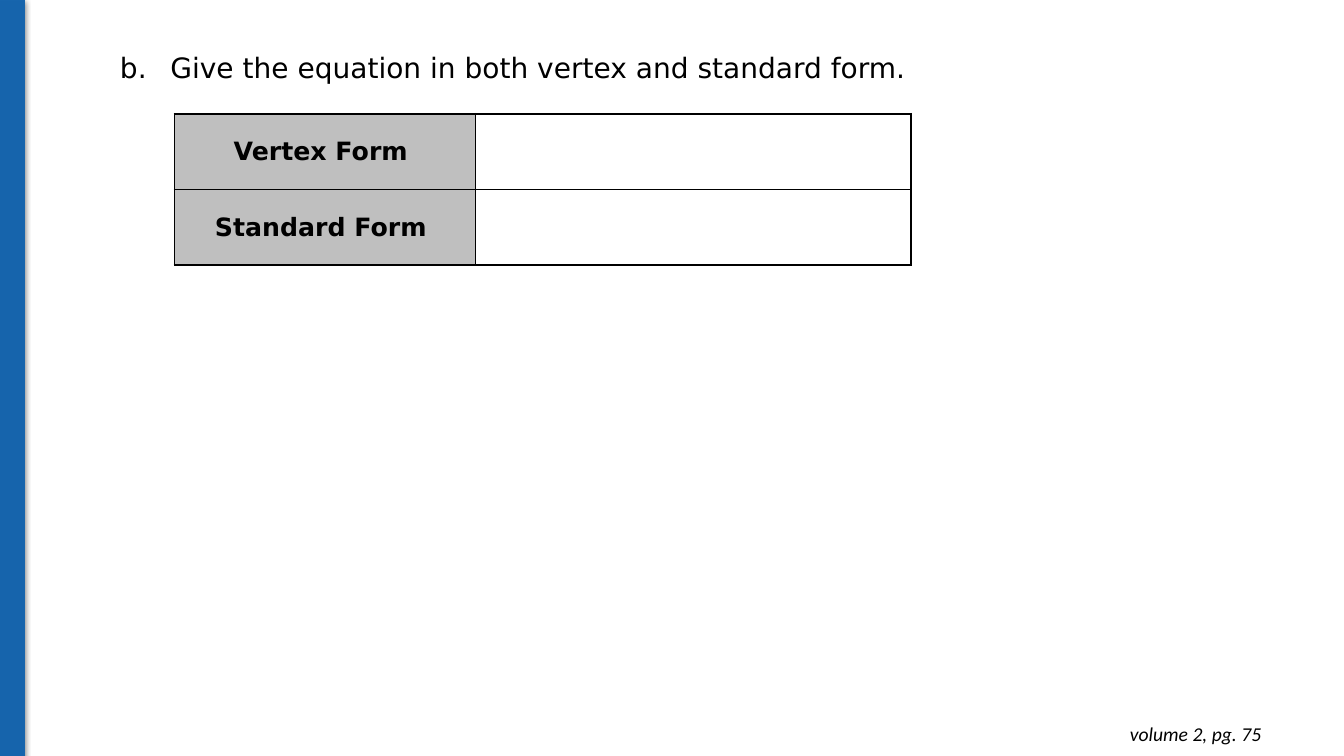
from typing import NamedTuple

from lxml.etree import SubElement
from pptx import Presentation
from pptx.dml.color import RGBColor
from pptx.enum.shapes import MSO_SHAPE
from pptx.enum.text import MSO_ANCHOR, MSO_AUTO_SIZE, PP_ALIGN
from pptx.oxml import parse_xml
from pptx.oxml.ns import nsdecls, qn
from pptx.slide import Slide
from pptx.table import _Cell
from pptx.text.text import Font
from pptx.util import Inches, Pt

BLACK, WHITE, GRAY = "000000", "FFFFFF", "BFBFBF"
BLUE, EDGE_BLUE = "1664AC", "1765AD"
OUTER_PT, INNER_PT = 1.5, 0.75


class AnswerRow(NamedTuple):
    label: str
    answer: str = ""


ANSWER_ROWS = [AnswerRow("Vertex Form "), AnswerRow("Standard Form ")]
COLUMN_WIDTHS = [2.99, 4.32]
ROW_HEIGHT = 0.75


def color(hex_code: str) -> RGBColor:
    return RGBColor.from_string(hex_code)


def style_font(font: Font, name: str, size: float, bold: bool = False, italic: bool = False) -> None:
    font.name = name
    font.size = Pt(size)
    font.bold = bold
    font.italic = italic
    font.color.rgb = color(BLACK)


def add_side_band(slide: Slide) -> None:
    band = slide.shapes.add_shape(MSO_SHAPE.RECTANGLE, 0, 0, Inches(0.24), Inches(7.51))
    band.fill.solid()
    band.fill.fore_color.rgb = color(BLUE)
    band.line.color.rgb = color(EDGE_BLUE)
    band.line.width = Pt(0.75)
    band.shadow.inherit = False
    effects = band._element.spPr.find(qn("a:effectLst"))
    effects.append(parse_xml(
        f'<a:outerShdw {nsdecls("a")} blurRad="{Pt(4.5)}" dist="{Pt(1.5)}" dir="5400000" '
        f'algn="t" rotWithShape="0"><a:srgbClr val="{BLACK}"><a:alpha val="50000"/>'
        '</a:srgbClr></a:outerShdw>'))


def add_question(slide: Slide) -> None:
    question = slide.shapes.title
    question.left, question.top = Inches(0.59), Inches(0.45)
    question.width, question.height = Inches(12.05), Inches(0.44)
    frame = question.text_frame
    frame.text = "Give the equation in both vertex and standard form."
    frame.word_wrap = True
    frame.auto_size = MSO_AUTO_SIZE.SHAPE_TO_FIT_TEXT
    frame.vertical_anchor = MSO_ANCHOR.TOP
    paragraph = frame.paragraphs[0]
    paragraph.alignment = PP_ALIGN.LEFT
    properties = paragraph._p.get_or_add_pPr()
    properties.set("marL", str(Inches(1)))
    properties.set("indent", str(Inches(-0.5)))
    SubElement(SubElement(properties, qn("a:buClr")), qn("a:srgbClr"), val=BLACK)
    SubElement(properties, qn("a:buFont"), typeface="+mj-lt")
    SubElement(properties, qn("a:buAutoNum"), type="alphaLcPeriod", startAt="2")
    style_font(paragraph.runs[0].font, "DejaVu Sans", 20)


def set_borders(cell: _Cell, widths: dict[str, float]) -> None:
    """Draw the cell's edges, with widths in points keyed L, R, T, B in that order."""
    properties = cell._tc.get_or_add_tcPr()
    for side, width in widths.items():
        edge = SubElement(properties, qn(f"a:ln{side}"), w=str(Pt(width)))
        SubElement(SubElement(edge, qn("a:solidFill")), qn("a:srgbClr"), val=BLACK)


def fill_cell(cell: _Cell, text: str, background: str) -> None:
    cell.fill.solid()
    cell.fill.fore_color.rgb = color(background)
    cell.vertical_anchor = MSO_ANCHOR.MIDDLE
    cell.margin_left = cell.margin_right = Inches(0.07)
    cell.margin_top = cell.margin_bottom = 0
    if text:
        cell.text_frame.text = text
        paragraph = cell.text_frame.paragraphs[0]
        paragraph.alignment = PP_ALIGN.CENTER
        paragraph.space_after = Pt(10)
        style_font(paragraph.runs[0].font, "DejaVu Sans", 18, bold=True)


def add_answer_table(slide: Slide) -> None:
    last_row, last_column = len(ANSWER_ROWS) - 1, len(COLUMN_WIDTHS) - 1
    table = slide.shapes.add_table(
        len(ANSWER_ROWS), len(COLUMN_WIDTHS), Inches(1.73), Inches(1.13),
        Inches(sum(COLUMN_WIDTHS)), Inches(ROW_HEIGHT * len(ANSWER_ROWS))).table
    table.first_row = table.horz_banding = False
    for column, width in zip(table.columns, COLUMN_WIDTHS):
        column.width = Inches(width)
    for r, answer_row in enumerate(ANSWER_ROWS):
        table.rows[r].height = Inches(ROW_HEIGHT)
        for c, (text, background) in enumerate(zip(answer_row, (GRAY, WHITE))):
            cell = table.cell(r, c)
            outer_sides = {"L": c == 0, "R": c == last_column, "T": r == 0, "B": r == last_row}
            set_borders(cell, {side: OUTER_PT if outer else INNER_PT
                               for side, outer in outer_sides.items()})
            fill_cell(cell, text, background)


def add_page_reference(slide: Slide) -> None:
    frame = slide.shapes.add_textbox(
        Inches(9.73), Inches(7.06), Inches(2.88), Inches(0.44)).text_frame
    frame.text = "volume 2, pg. 75"
    frame.word_wrap = True
    frame.auto_size = MSO_AUTO_SIZE.SHAPE_TO_FIT_TEXT
    frame.margin_left = frame.margin_right = Inches(0.1)
    frame.margin_top = frame.margin_bottom = Inches(0.1)
    paragraph = frame.paragraphs[0]
    paragraph.alignment = PP_ALIGN.RIGHT
    style_font(paragraph.runs[0].font, "Calibri", 14, italic=True)


def main() -> None:
    presentation = Presentation()
    presentation.slide_width, presentation.slide_height = Inches(13.33), Inches(7.5)
    title_only = presentation.slide_layouts[5]
    slide = presentation.slides.add_slide(title_only)
    add_side_band(slide)
    add_page_reference(slide)
    add_answer_table(slide)
    add_question(slide)
    presentation.save("out.pptx")


if __name__ == "__main__":
    main()
